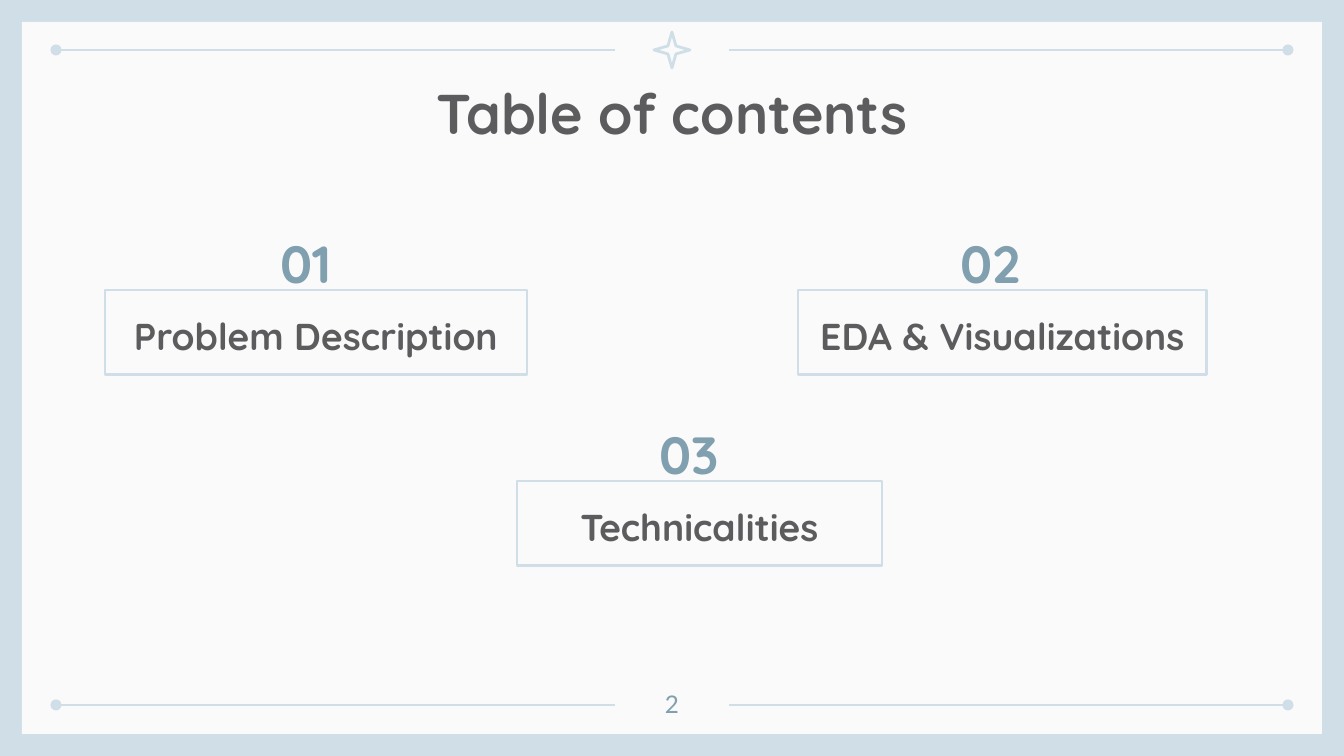
from lxml.etree import SubElement
from pptx import Presentation
from pptx.dml.color import RGBColor
from pptx.enum.shapes import MSO_CONNECTOR as Connector, MSO_SHAPE as Shape
from pptx.enum.text import MSO_ANCHOR as Anchor, MSO_AUTO_SIZE as AutoSize, PP_ALIGN as Align
from pptx.oxml.ns import qn
from pptx.util import Pt

EMU_PER_PX = 9144000 / 1344
SLIDE_WIDTH, SLIDE_HEIGHT = 1344, 756

PALE_BLUE = RGBColor(0xCF, 0xDE, 0xE7)
STEEL_BLUE = RGBColor(0x80, 0x9F, 0xAF)
OFF_WHITE = RGBColor(0xFA, 0xFA, 0xFA)
DARK_GREY = RGBColor(0x5C, 0x5C, 0x5F)

LINE_WIDTH = Pt(1.5)
INSET = 13
BOX_HEIGHT = 85
NUMBER_WIDTH, NUMBER_HEIGHT = 97, 65

# Number, number left, heading, box left, box top, box width
SECTIONS = [
    ("01", 267, "Problem Description", 105, 290, 422),
    ("02", 947, "EDA & Visualizations", 798, 290, 409),
    ("03", 646, "Technicalities", 517, 481, 365),
]


def px(length):
    return round(length * EMU_PER_PX)


def set_text(shape, text, size, color, font="Quicksand", bold=True,
             align=Align.CENTER, anchor=Anchor.TOP, spacing=1.0):
    frame = shape.text_frame
    frame.word_wrap = True
    frame.auto_size = AutoSize.NONE
    frame.vertical_anchor = anchor
    frame.margin_left = frame.margin_right = px(INSET)
    frame.margin_top = frame.margin_bottom = px(INSET)
    paragraph = frame.paragraphs[0]
    paragraph.text = text
    paragraph.alignment = align
    paragraph.line_spacing = spacing
    paragraph.font.name = font
    paragraph.font.size = Pt(size)
    paragraph.font.bold = bold
    paragraph.font.color.rgb = color


def add_text(slide, box, text, size, color, **style):
    text_box = slide.shapes.add_textbox(*map(px, box))
    set_text(text_box, text, size, color, **style)


def add_outline(slide, kind, box):
    outline = slide.shapes.add_shape(kind, *map(px, box))
    outline.shadow.inherit = False
    outline.fill.background()
    outline.line.color.rgb = PALE_BLUE
    outline.line.width = LINE_WIDTH
    return outline


def add_rule(slide, left, right, y, dot_end):
    rule = slide.shapes.add_connector(
        Connector.STRAIGHT, px(left), px(y), px(right), px(y))
    rule.line.color.rgb = PALE_BLUE
    rule.line.width = LINE_WIDTH
    properties = rule.element.spPr
    SubElement(properties.find(qn("a:ln")), qn(dot_end), type="oval")
    SubElement(properties, qn("a:effectLst"))


def add_panel(slide):
    margin = 22
    panel = slide.shapes.add_shape(
        Shape.RECTANGLE, px(margin), px(margin),
        px(SLIDE_WIDTH - 2 * margin), px(SLIDE_HEIGHT - 2 * margin))
    panel.shadow.inherit = False
    panel.fill.solid()
    panel.fill.fore_color.rgb = OFF_WHITE
    panel.line.fill.background()
    # Keep the panel behind the title
    slide.shapes.title.element.addprevious(panel.element)


def add_frame(slide):
    outer, inner = 56, 615
    for y in (50, 705):
        add_rule(slide, outer, inner, y, "a:headEnd")
        add_rule(slide, SLIDE_WIDTH - inner, SLIDE_WIDTH - outer, y, "a:tailEnd")
    star = add_outline(slide, Shape.STAR_4_POINT, (654, 32, 36, 36))
    star.adjustments[0] = 0.157


def add_title(slide, text):
    title = slide.shapes.title
    title.left, title.top, title.width, title.height = map(px, (106, 66, 1133, 85))
    set_text(title, text, 30, DARK_GREY)


def add_section(slide, number, number_left, heading, left, top, width):
    add_text(slide, (number_left, top - NUMBER_HEIGHT, NUMBER_WIDTH, NUMBER_HEIGHT),
             number, 28, STEEL_BLUE, align=Align.LEFT, anchor=Anchor.MIDDLE,
             spacing=1.15)
    heading_box = add_outline(slide, Shape.RECTANGLE, (left, top, width, BOX_HEIGHT))
    set_text(heading_box, heading, 20, DARK_GREY, anchor=Anchor.MIDDLE, spacing=1.15)


def main():
    deck = Presentation()
    deck.slide_width, deck.slide_height = px(SLIDE_WIDTH), px(SLIDE_HEIGHT)
    slide = deck.slides.add_slide(deck.slide_layouts[5])

    # Background and frame
    slide.background.fill.solid()
    slide.background.fill.fore_color.rgb = PALE_BLUE
    add_panel(slide)
    add_frame(slide)

    # Contents
    add_title(slide, "Table of contents")
    for section in SECTIONS:
        add_section(slide, *section)

    # Page number
    add_text(slide, (632, 676, 80, 48), "2", 13, STEEL_BLUE, font="Lato", bold=False)

    deck.save("out.pptx")


if __name__ == "__main__":
    main()
